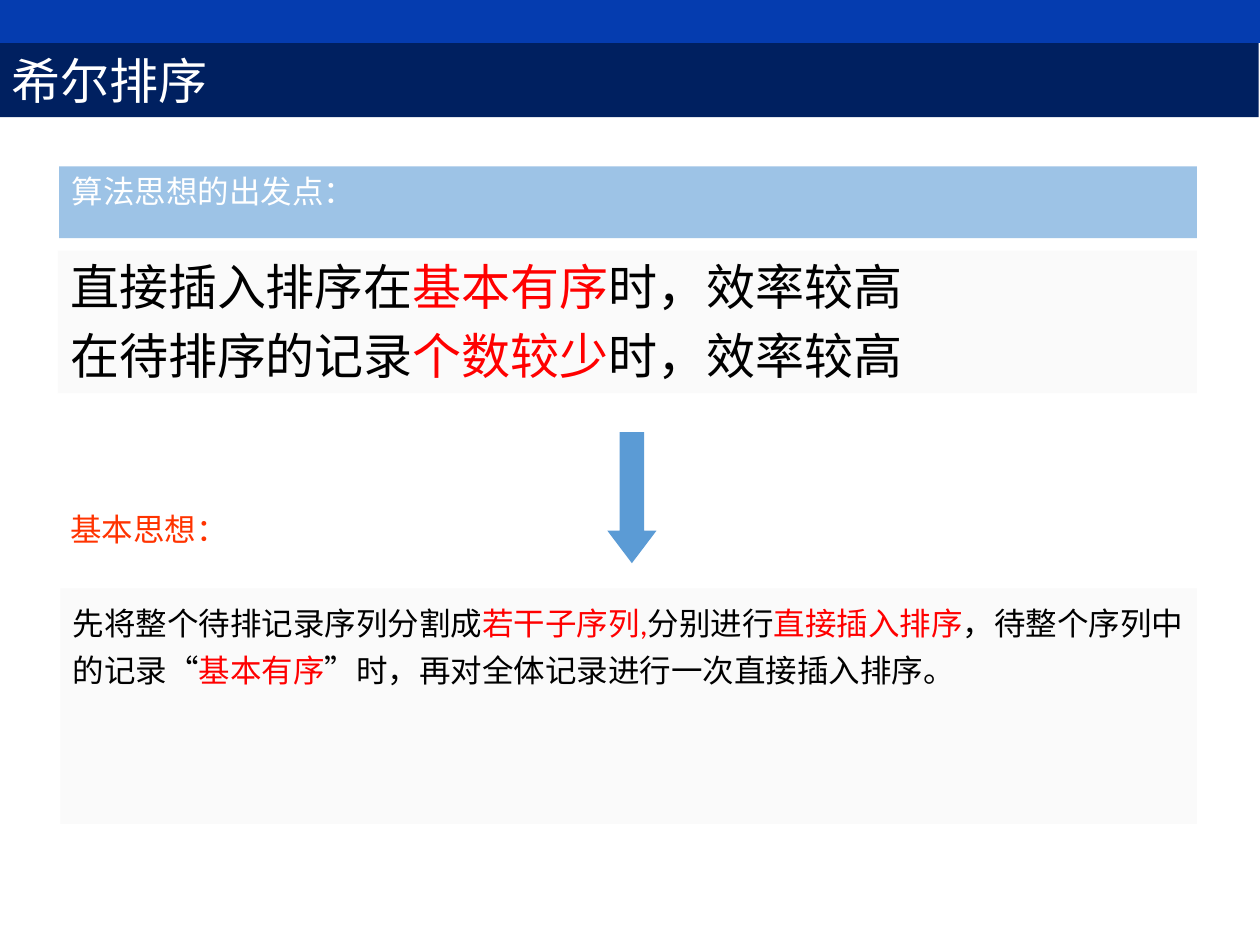
from dataclasses import dataclass

import pptx
import pptx.dml.color
import pptx.enum.shapes
import pptx.enum.text
import pptx.util

COLS, ROWS = 100, 75
SHAPE = pptx.enum.shapes.MSO_SHAPE
ANCHOR = pptx.enum.text.MSO_ANCHOR
ALIGN = pptx.enum.text.PP_ALIGN


@dataclass(frozen=True)
class Theme:
    font: str = "Calibri"
    big: int = 28
    body: int = 18
    bar: str = "053CAF"
    navy: str = "002060"
    head: str = "9DC3E6"
    panel: str = "FAFAFA"
    arrow: str = "5B9BD5"
    white: str = "FFFFFF"
    black: str = "000000"
    red: str = "FF0000"
    orange: str = "FF3300"


THEME = Theme()


@dataclass(frozen=True)
class Area:
    """Left, top, width and height in grid columns and rows."""
    col: float
    row: float
    wide: float
    high: float


@dataclass(frozen=True)
class Panel:
    area: Area
    lines: tuple[tuple[str, ...], ...]  # every second part of a line is marked
    fill: str | None = None
    color: str = THEME.black
    size: int = THEME.body
    before: float = 0
    pitch: float = 1.0


PANELS = (
    Panel(Area(4.7, 13.2, 90.3, 5.7), (("算法思想的出发点：",),),
          THEME.head, THEME.white),
    Panel(Area(4.6, 19.9, 90.4, 11.3),
          (("直接插入排序在", "基本有序", "时，效率较高"),
           ("在待排序的记录", "个数较少", "时，效率较高")),
          THEME.panel, size=THEME.big, before=0.2),
    Panel(Area(4.6, 40, 26.2, 5.7), (("基本思想：",),), color=THEME.orange),
    Panel(Area(4.8, 46.7, 90.2, 18.7),
          (("先将整个待排记录序列分割成", "若干子序列,", "分别进行",
            "直接插入排序", "，待整个序列中的记录“", "基本有序",
            "”时，再对全体记录进行一次直接插入排序。"),),
          THEME.panel, pitch=1.25),
)


def rgb(code: str) -> pptx.dml.color.RGBColor:
    return pptx.dml.color.RGBColor.from_string(code)


def place(deck, area: Area) -> tuple[int, int, int, int]:
    col, row = deck.slide_width / COLS, deck.slide_height / ROWS
    return (round(area.col * col), round(area.row * row),
            round(area.wide * col), round(area.high * row))


def paint(shape, color: str) -> None:
    shape.fill.solid()
    shape.fill.fore_color.rgb = rgb(color)


def add_block(deck, slide, kind, area: Area, color: str):
    shape = slide.shapes.add_shape(kind, *place(deck, area))
    shape.shadow.inherit = False
    shape.line.fill.background()
    paint(shape, color)
    return shape


def add_run(para, text: str, size: int, color: str) -> None:
    run = para.add_run()
    run.text = text
    style = {"name": THEME.font, "size": pptx.util.Pt(size)}
    for name, value in style.items():
        setattr(run.font, name, value)
    run.font.color.rgb = rgb(color)


def add_panel(deck, slide, panel: Panel) -> None:
    if panel.fill:
        shape = add_block(deck, slide, SHAPE.RECTANGLE, panel.area, panel.fill)
    else:
        shape = slide.shapes.add_textbox(*place(deck, panel.area))
    frame = shape.text_frame
    frame.word_wrap = True
    frame.vertical_anchor = ANCHOR.TOP
    style = {"alignment": ALIGN.LEFT, "line_spacing": panel.pitch,
             "space_before": pptx.util.Pt(panel.before * panel.size)}
    for i, line in enumerate(panel.lines):
        para = frame.add_paragraph() if i else frame.paragraphs[0]
        for name, value in style.items():
            setattr(para, name, value)
        for j, part in enumerate(line):
            add_run(para, part, panel.size, THEME.red if j % 2 else panel.color)


def set_title(deck, slide, text: str) -> None:
    title = slide.shapes.title
    spots = place(deck, Area(-0.1, 3.4, 100, 5.9))
    for name, value in zip(("left", "top", "width", "height"), spots):
        setattr(title, name, value)
    paint(title, THEME.navy)
    frame = title.text_frame
    frame.auto_size = pptx.enum.text.MSO_AUTO_SIZE.NONE
    frame.vertical_anchor = ANCHOR.MIDDLE
    para = frame.paragraphs[0]
    para.alignment = ALIGN.LEFT
    add_run(para, text, THEME.big, THEME.white)


def main() -> None:
    deck = pptx.Presentation()
    deck.slide_width = pptx.util.Inches(10)
    deck.slide_height = pptx.util.Inches(7.5)
    slide = deck.slides.add_slide(deck.slide_layouts[5])
    add_block(deck, slide, SHAPE.RECTANGLE, Area(0, 0, COLS, 3.4), THEME.bar)
    set_title(deck, slide, "希尔排序")
    for panel in PANELS:
        add_panel(deck, slide, panel)
    arrow = add_block(deck, slide, SHAPE.DOWN_ARROW,
                      Area(48.2, 34.3, 3.9, 10.4), THEME.arrow)
    arrow.adjustments[1] = 0.66
    deck.save("out.pptx")


if __name__ == "__main__":
    main()
